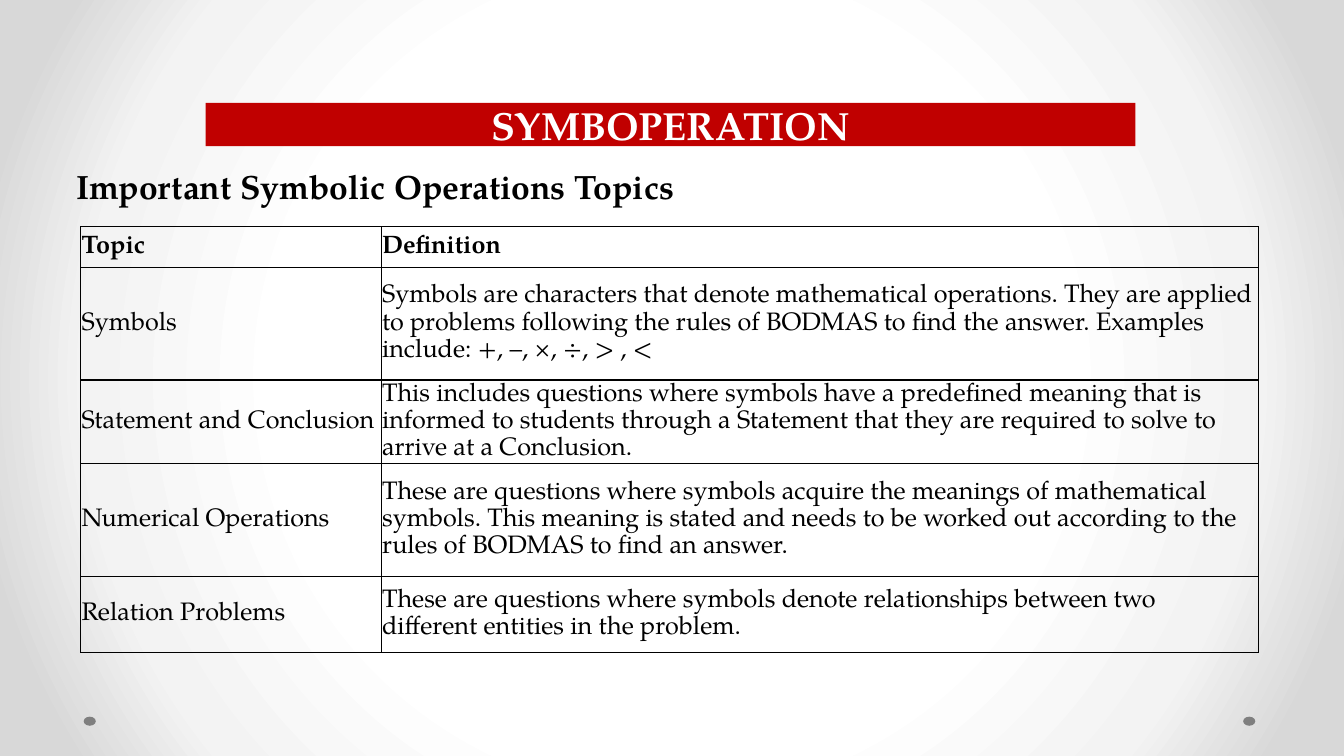
from dataclasses import dataclass

from lxml import etree
from pptx import Presentation
from pptx import util as u
from pptx.dml.color import RGBColor
from pptx.enum import shapes, text
from pptx.oxml.ns import qn


@dataclass(frozen=True)
class Theme:
    font: str = "TeX Gyre Pagella"
    black: str = "000000"
    white: str = "FFFFFF"
    red: str = "C00000"
    grey: str = "7F7F7F"
    glow: tuple = ((0, "FFFFFF"), (50, "FFFFFF"), (76, "F3F3F3"),
                   (92, "D8D8D8"), (100, "D8D8D8"))
    title: int = 28
    heading: int = 24
    body: int = 18


ROWS = [
    ("Topic", "Definition"),
    ("Symbols",
     "Symbols are characters that denote mathematical operations. They are applied to problems "
     "following the rules of BODMAS to find the answer. Examples include: +, –, ×, ÷, > , <"),
    ("Statement and Conclusion",
     "This includes questions where symbols have a predefined meaning that is informed to students "
     "through a Statement that they are required to solve to arrive at a Conclusion."),
    ("Numerical Operations",
     "These are questions where symbols acquire the meanings of mathematical symbols. This meaning "
     "is stated and needs to be worked out according to the rules of BODMAS to find an answer."),
    ("Relation Problems",
     "These are questions where symbols denote relationships between two different entities "
     "in the problem."),
]
COL_WIDTHS = (2.98, 8.7)
ROW_HEIGHTS = (0.4, 1.12, 0.76, 1.12, 0.76)


class SlideBuilder:
    def __init__(self, s, theme):
        self.s, self.theme = s, theme

    def background(self):
        """Fill the slide with a circular gradient around its centre."""
        self.s.background.fill.gradient()
        grad = self.s.element.find(".//" + qn("a:gradFill"))
        for child in list(grad):
            grad.remove(child)
        stops = etree.SubElement(grad, qn("a:gsLst"))
        for pos, color in self.theme.glow:
            stop = etree.SubElement(stops, qn("a:gs"), pos=str(pos * 1000))
            etree.SubElement(stop, qn("a:srgbClr"), val=color)
        circle = etree.SubElement(grad, qn("a:path"), {"path": "circle"})
        etree.SubElement(circle, qn("a:fillToRect"),
                         {side: "50000" for side in "ltrb"})

    def add_text(self, tf, words, size, color, bold=True, **paragraph):
        p = tf.paragraphs[0]
        for name, value in paragraph.items():
            setattr(p, name, value)
        r = p.add_run()
        r.text = words
        style = {"name": self.theme.font, "size": u.Pt(size), "bold": bold}
        for name, value in style.items():
            setattr(r.font, name, value)
        r.font.color.rgb = RGBColor.from_string(color)

    def shape(self, kind, box, color):
        sp = self.s.shapes.add_shape(kind, *map(u.Inches, box))
        sp.shadow.inherit = False
        sp.fill.solid()
        sp.fill.fore_color.rgb = RGBColor.from_string(color)
        sp.line.fill.background()
        return sp

    def banner(self, words, box):
        tf = self.shape(shapes.MSO_SHAPE.RECTANGLE, box, self.theme.red).text_frame
        tf.vertical_anchor = text.MSO_ANCHOR.MIDDLE
        self.add_text(tf, words, self.theme.title, self.theme.white,
                      alignment=text.PP_ALIGN.CENTER)

    def heading(self, words, box):
        tf = self.s.shapes.add_textbox(*map(u.Inches, box)).text_frame
        tf.word_wrap = True
        tf.auto_size = text.MSO_AUTO_SIZE.SHAPE_TO_FIT_TEXT
        tf.vertical_anchor = text.MSO_ANCHOR.MIDDLE
        self.add_text(tf, words, self.theme.heading, self.theme.black)

    def borders(self, cell):
        tc_pr = cell._tc.get_or_add_tcPr()
        for i, tag in enumerate(("a:lnL", "a:lnR", "a:lnT", "a:lnB")):
            ln = etree.Element(qn(tag), w=str(u.Pt(1)))
            fill = etree.SubElement(ln, qn("a:solidFill"))
            etree.SubElement(fill, qn("a:srgbClr"), val=self.theme.black)
            tc_pr.insert(i, ln)

    def table(self, rows, left, top, widths, heights):
        box = map(u.Inches, (left, top, sum(widths), sum(heights)))
        table = self.s.shapes.add_table(len(rows), len(widths), *box).table
        table.horz_banding = False
        for column, width in zip(table.columns, widths):
            column.width = u.Inches(width)
        for row, height in zip(table.rows, heights):
            row.height = u.Inches(height)
        cell_format = {"vertical_anchor": text.MSO_ANCHOR.MIDDLE}
        for side in ("left", "right", "top", "bottom"):
            cell_format["margin_" + side] = u.Inches(0.01)
        for i, row in enumerate(rows):
            for j, words in enumerate(row):
                cell = table.cell(i, j)
                for name, value in cell_format.items():
                    setattr(cell, name, value)
                cell.fill.background()
                self.borders(cell)
                self.add_text(cell.text_frame, words, self.theme.body, self.theme.black,
                              bold=i == 0, line_spacing=1.07)


def main():
    prs = Presentation()
    prs.slide_width, prs.slide_height = u.Inches(13.33), u.Inches(7.5)
    theme = Theme()
    b = SlideBuilder(prs.slides.add_slide(prs.slide_layouts[6]), theme)

    # Backdrop with a dot in each lower corner
    b.background()
    for left in (12.33, 0.83):
        b.shape(shapes.MSO_SHAPE.OVAL, (left, 7.11, 0.12, 0.09), theme.grey)

    # Title banner, topic table and heading
    b.banner("SYMBOPERATION", (2.04, 1.02, 9.22, 0.43))
    b.table(ROWS, 0.8, 2.25, COL_WIDTHS, ROW_HEIGHTS)
    b.heading("Important Symbolic Operations Topics", (0.66, 1.6, 8.66, 0.5))

    prs.save("out.pptx")


if __name__ == "__main__":
    main()
